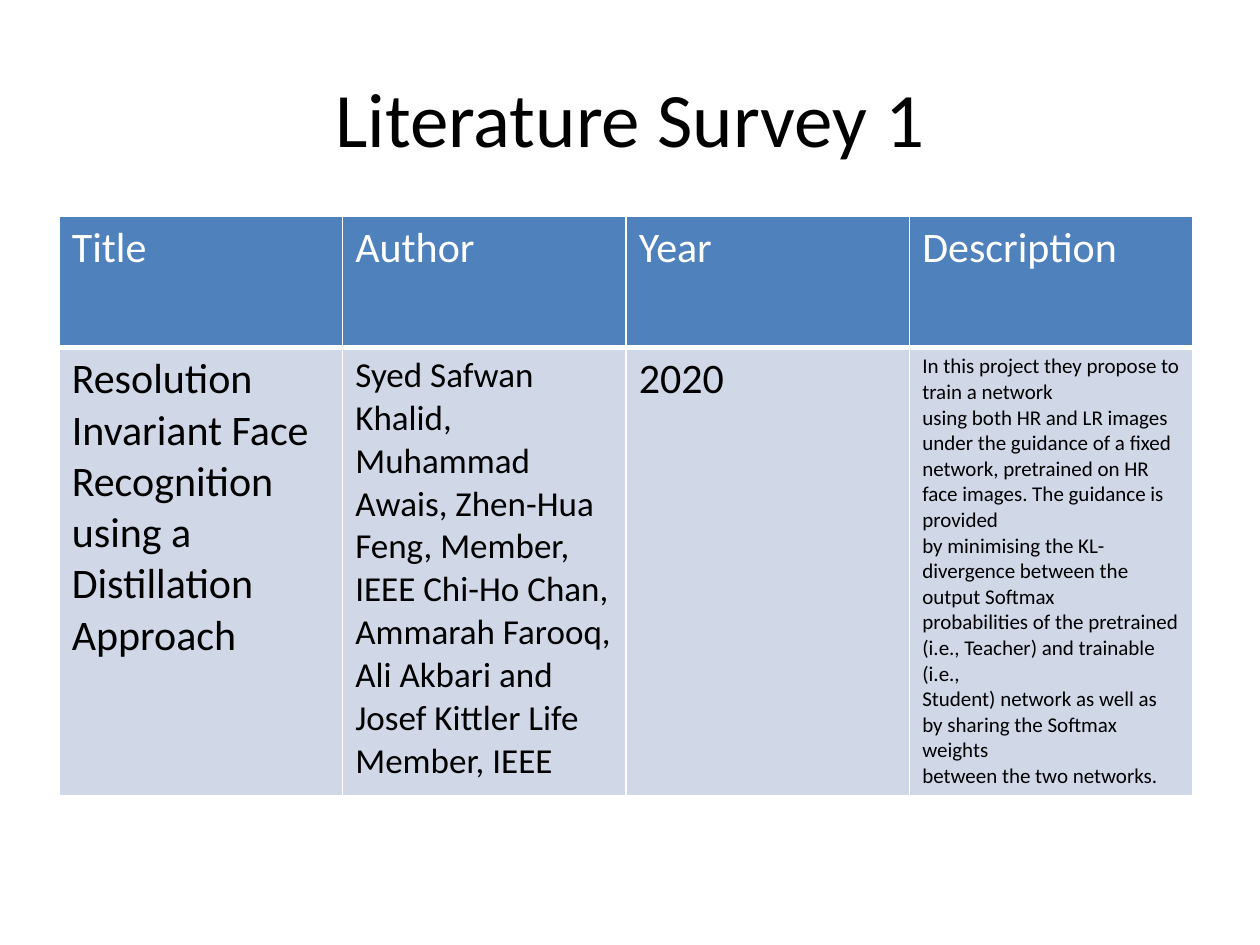
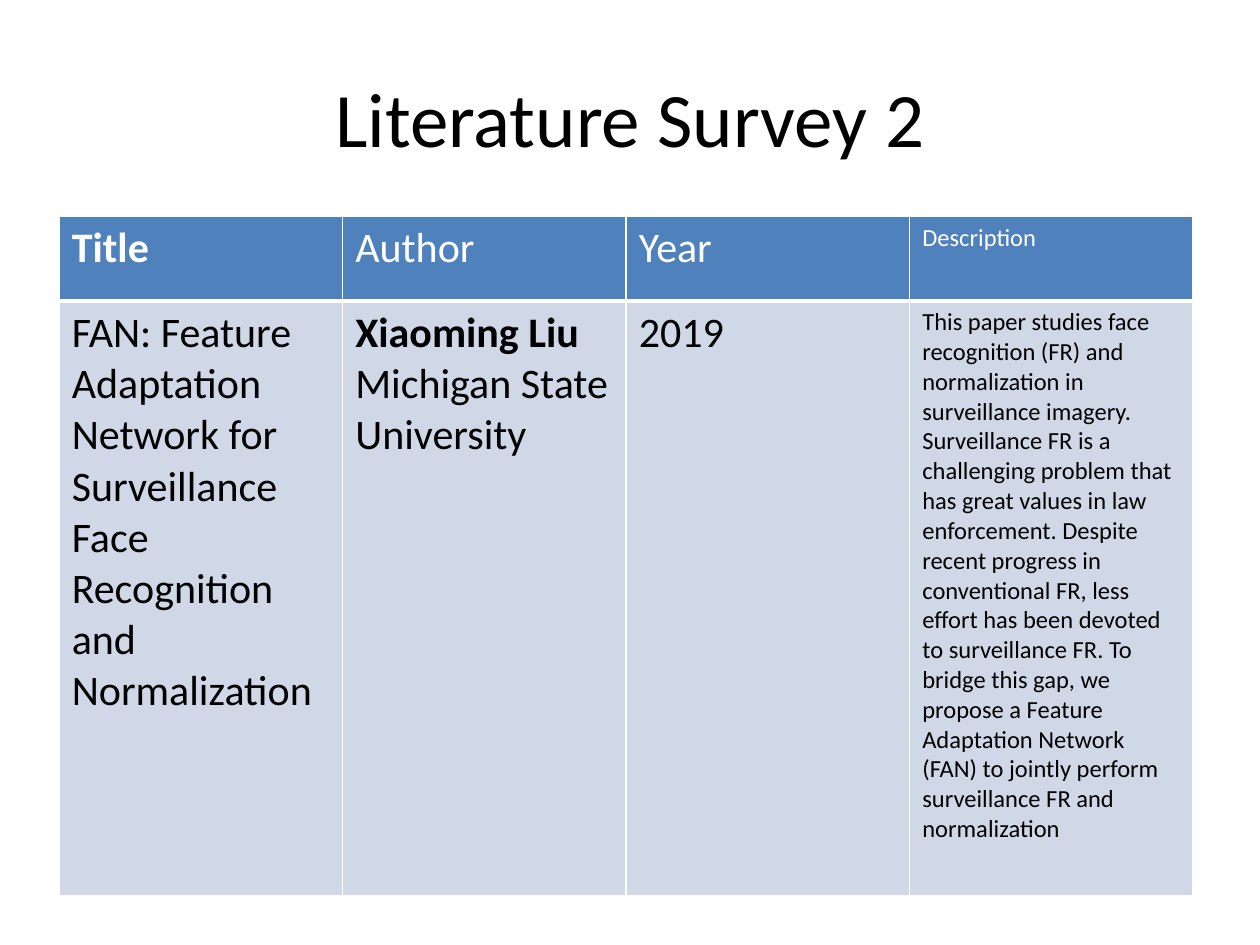
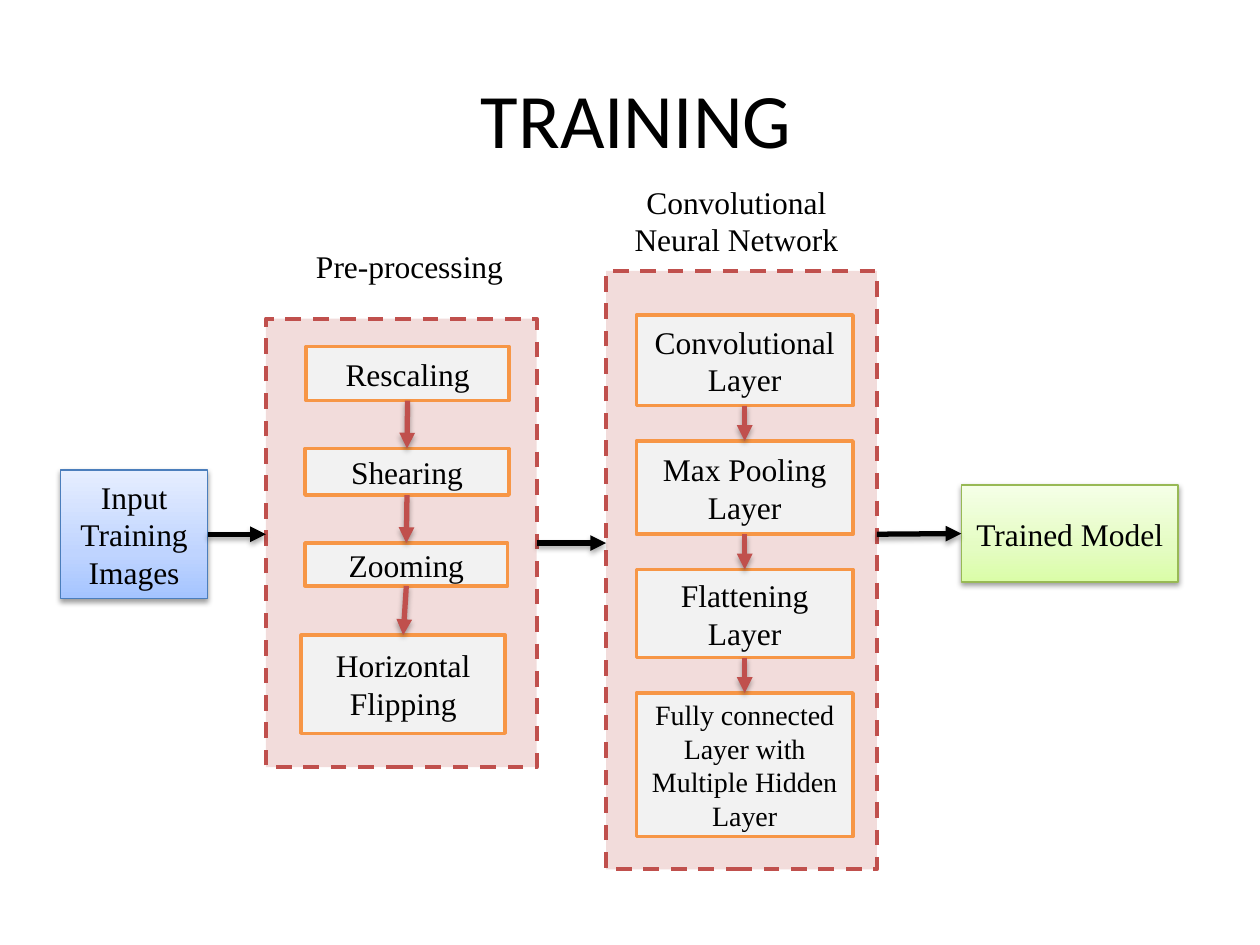
from itertools import pairwise

from lxml.etree import SubElement
from pptx import Presentation
from pptx.dml.color import RGBColor
from pptx.enum.dml import MSO_LINE
from pptx.enum.shapes import MSO_CONNECTOR as Connector, MSO_SHAPE as Preset
from pptx.enum.text import MSO_ANCHOR as Anchor, PP_ALIGN as Align
from pptx.oxml.ns import qn
from pptx.util import Inches, Pt

COLUMNS, ROWS = 100, 75
TITLE_ONLY = 5
TOP, LEFT, BOTTOM, RIGHT = range(4)
SANS, SERIF = "Calibri", "Times New Roman"
BLACK, WHITE = "000000", "FFFFFF"
HEADER_BLUE, CELL_BLUE = "4F81BD", "D0D8E8"
RED, PINK = "C0504D", "F2DCDB"
ORANGE, GREY = "F79646", "F2F2F2"
BLUE_LINE, BLUE_FADE = "4B7EBC", ((0, "A4C4FF"), (35, "BFD4FF"), (100, "E6EEFF"))
GREEN_LINE, GREEN_FADE = "98B955", ((0, "DAFDA7"), (35, "E4FCC2"), (100, "F5FFE7"))

HEADINGS = ("Title", "Author", "Year", "Description")
# Each cell is its text, its size and how many of its first lines are bold.
SURVEY_1 = (
    [(heading, 24, 0) for heading in HEADINGS],
    [
        ("Resolution Invariant Face Recognition using a\nDistillation Approach", 24, 0),
        ("Syed Safwan Khalid, Muhammad Awais, Zhen-Hua Feng, Member, IEEE Chi-Ho Chan,\n"
         "Ammarah Farooq, Ali Akbari and Josef Kittler Life Member, IEEE", 20, 0),
        ("2020", 24, 0),
        ("In this project they propose to train a network\n"
         "using both HR and LR images under the guidance of a fixed\n"
         "network, pretrained on HR face images. The guidance is provided\n"
         "by minimising the KL-divergence between the output Softmax\n"
         "probabilities of the pretrained (i.e., Teacher) and trainable (i.e.,\n"
         "Student) network as well as by sharing the Softmax weights\n"
         "between the two networks.", 12, 0),
    ],
)
SURVEY_2 = (
    list(zip(HEADINGS, (24, 24, 24, 14), (1, 0, 0, 0))),
    [
        ("FAN: Feature Adaptation Network for Surveillance Face Recognition "
         "and Normalization", 24, 0),
        ("Xiaoming Liu\nMichigan State University", 24, 1),
        ("2019", 24, 0),
        ("This paper studies face recognition (FR) and normalization in surveillance "
         "imagery. Surveillance FR is a challenging problem that has great values in law "
         "enforcement. Despite recent progress in conventional FR, less effort has been "
         "devoted to surveillance FR. To bridge this gap, we propose a Feature Adaptation "
         "Network (FAN) to jointly perform surveillance FR and normalization", 14, 0),
    ],
)
PREPROCESSING_STEPS = (
    ("Rescaling", (24.3, 27.5, 16.1, 4.3), 18),
    ("Shearing", (24.2, 35.6, 16.2, 3.7), 18),
    ("Zooming", (24.2, 43.1, 16.1, 3.4), 18),
    ("Horizontal Flipping", (23.9, 50.4, 16.2, 7.8), 18),
)
NETWORK_LAYERS = (
    ("Convolutional Layer", (50.5, 25, 17.2, 7.2), 18),
    ("Max Pooling Layer", (50.5, 35, 17.2, 7.4), 18),
    ("Flattening Layer", (50.5, 45.2, 17.2, 7), 18),
    ("Fully connected Layer with Multiple Hidden Layer", (50.5, 55, 17.2, 11.4), 16),
)


def color(code):
    return RGBColor.from_string(code)


def add_color(parent, code):
    return SubElement(parent, qn("a:srgbClr"), val=code)


def write(frame, text, size=18, font=SERIF, ink=BLACK, align=Align.LEFT, bold_lines=0):
    """Fill a text frame, one paragraph for each line of the text."""
    for index, line in enumerate(text.split("\n")):
        para = frame.paragraphs[0] if index == 0 else frame.add_paragraph()
        para.alignment = align
        span = para.add_run()
        span.text = line
        span.font.size = Pt(size)
        span.font.name = font
        span.font.bold = index < bold_lines
        span.font.color.rgb = color(ink)


def cast_shadow(shape, opacity, distance):
    outline = shape.element.spPr
    effects = outline.find(qn("a:effectLst"))
    if effects is None:
        effects = SubElement(outline, qn("a:effectLst"))
    shadow = SubElement(effects, qn("a:outerShdw"), blurRad=str(Pt(3.1)),
                        dist=str(Pt(distance)), dir="5400000", rotWithShape="0")
    SubElement(add_color(shadow, BLACK), qn("a:alpha"), val=str(opacity * 1000))


def fade(shape, stops):
    """Give a shape a gradient that runs from its bottom to its top."""
    shape.fill.gradient()
    shape.fill.gradient_angle = 90
    stop_list = next(shape.element.spPr.iter(qn("a:gsLst")))
    stop_list.clear()
    for position, code in stops:
        add_color(SubElement(stop_list, qn("a:gs"), pos=str(position * 1000)), code)


def draw_borders(cell, bottom):
    for side, width in (("L", 1), ("R", 1), ("T", 1), ("B", bottom)):
        border = SubElement(cell._tc.get_or_add_tcPr(), qn(f"a:ln{side}"), w=str(Pt(width)))
        add_color(SubElement(border, qn("a:solidFill")), WHITE)


class Deck:
    """Holds the style, the grid and the current slide."""

    def __init__(self):
        self.deck = Presentation()
        self.deck.slide_width, self.deck.slide_height = Inches(10), Inches(7.5)
        self.page = None

    def x(self, columns):
        return round(self.deck.slide_width * columns / COLUMNS)

    def y(self, rows):
        return round(self.deck.slide_height * rows / ROWS)

    def place(self, area):
        left, top, width, height = area
        return self.x(left), self.y(top), self.x(width), self.y(height)

    def start(self, title, left=5, top=3):
        self.page = self.deck.slides.add_slide(self.deck.slide_layouts[TITLE_ONLY])
        box = self.page.shapes.title
        box.left, box.top, box.width, box.height = self.place((left, top, 90, 12.5))
        box.text_frame.vertical_anchor = Anchor.MIDDLE
        write(box.text_frame, title, size=44, font=SANS, align=Align.CENTER)

    def table(self, rows, heights):
        area = self.place((4.7, 17.2, 90, sum(heights)))
        table = self.page.shapes.add_table(len(rows), len(HEADINGS), *area).table
        for index, (cells, height) in enumerate(zip(rows, heights)):
            table.rows[index].height = self.y(height)
            header = index == 0
            for cell, (text, size, bold_lines) in zip(table.rows[index].cells, cells):
                draw_borders(cell, bottom=3 if header else 1)
                cell.fill.solid()
                cell.fill.fore_color.rgb = color(HEADER_BLUE if header else CELL_BLUE)
                write(cell.text_frame, text, size, SANS, WHITE if header else BLACK,
                      bold_lines=bold_lines)

    def box(self, area, fill, line, width, text="", size=18, dashed=False):
        """Add a rectangle; a fill of several stops is a raised gradient."""
        shape = self.page.shapes.add_shape(Preset.RECTANGLE, *self.place(area))
        shape.shadow.inherit = False
        if isinstance(fill, str):
            shape.fill.solid()
            shape.fill.fore_color.rgb = color(fill)
        else:
            fade(shape, fill)
            cast_shadow(shape, opacity=38, distance=1.6)
        shape.line.color.rgb = color(line)
        shape.line.width = Pt(width)
        if dashed:
            shape.line.dash_style = MSO_LINE.DASH
        if text:
            shape.text_frame.word_wrap = True
            shape.text_frame.vertical_anchor = Anchor.MIDDLE
            write(shape.text_frame, text, size, align=Align.CENTER)
        return shape

    def label(self, area, text, align=Align.LEFT, wrap=True):
        frame = self.page.shapes.add_textbox(*self.place(area)).text_frame
        frame.word_wrap = wrap
        write(frame, text, align=align)

    def arrow(self, start, end, line=BLACK, source=None, target=None):
        """Draw an arrow; source and target are (shape, side) pairs to join."""
        ends = self.x(start[0]), self.y(start[1]), self.x(end[0]), self.y(end[1])
        arrow = self.page.shapes.add_connector(Connector.STRAIGHT, *ends)
        if source:
            arrow.begin_connect(*source)
        if target:
            arrow.end_connect(*target)
        arrow.line.color.rgb = color(line)
        arrow.line.width = Pt(3)
        SubElement(arrow.element.spPr.find(qn("a:ln")), qn("a:tailEnd"), type="triangle")
        cast_shadow(arrow, opacity=35, distance=1.8)

    def chain(self, steps):
        """Stack boxes and join each one to the next."""
        boxes = [self.box(area, GREY, ORANGE, 2, text, size) for text, area, size in steps]
        for upper, lower in pairwise(boxes):
            self.arrow((0, 0), (0, 0), RED, (upper, BOTTOM), (lower, TOP))


def add_training(deck):
    deck.start("TRAINING", left=5.5, top=3.1)
    deck.box((48.1, 21.5, 21.5, 47.5), PINK, RED, 2.25, dashed=True)
    preprocessing = deck.box((21.1, 25.3, 21.5, 35.6), PINK, RED, 2.25, dashed=True)
    images = deck.box((4.8, 37.3, 11.7, 10.2), BLUE_FADE, BLUE_LINE, 0.75,
                      "Input Training Images")
    model = deck.box((76.3, 38.5, 17.2, 7.7), GREEN_FADE, GREEN_LINE, 0.75, "Trained Model")
    deck.chain(PREPROCESSING_STEPS)
    deck.chain(NETWORK_LAYERS)
    deck.label((24.1, 19.1, 17, 4), "Pre-processing", wrap=False)
    deck.label((48.1, 14, 20.7, 7.1), "Convolutional\nNeural Network", Align.CENTER)
    deck.arrow((16.6, 42.4), (21.1, 42.4), source=(images, RIGHT))
    deck.arrow((42.6, 43.1), (48.1, 43.1), source=(preprocessing, RIGHT))
    deck.arrow((69.6, 42.4), (76.3, 42.4), target=(model, LEFT))


def main():
    deck = Deck()
    deck.start("Literature Survey 1")
    deck.table(SURVEY_1, heights=(10.4, 31.5))
    deck.start("Literature Survey 2")
    deck.table(SURVEY_2, heights=(6.7, 47.2))
    add_training(deck)
    deck.deck.save("out.pptx")


if __name__ == "__main__":
    main()
